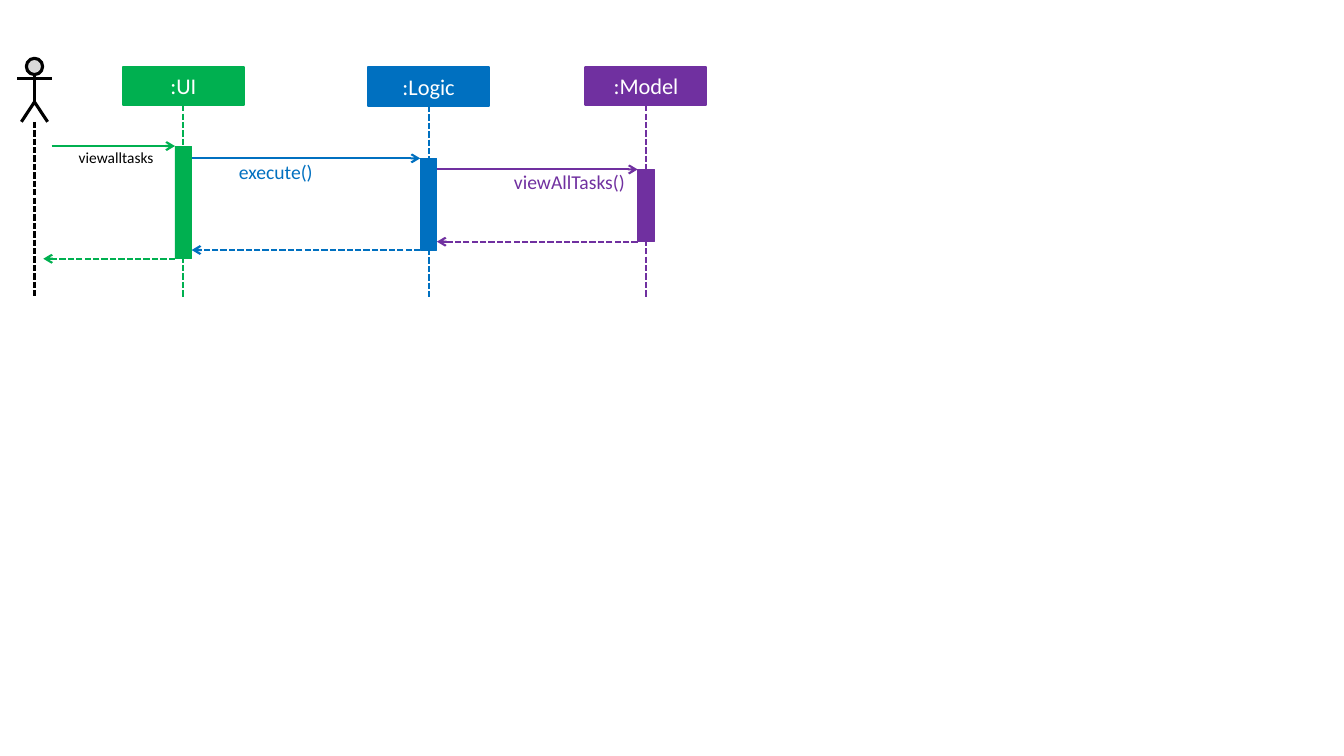
from lxml.etree import SubElement
from pptx import Presentation
from pptx.dml.color import RGBColor
from pptx.enum.dml import MSO_LINE
from pptx.enum.shapes import MSO_CONNECTOR, MSO_SHAPE
from pptx.enum.text import MSO_ANCHOR, PP_ALIGN
from pptx.oxml.ns import qn
from pptx.util import Cm, Pt

GREEN, BLUE, PURPLE = "00B050", "0070C0", "7030A0"
BLACK, WHITE, GREY = "000000", "FFFFFF", "D9D9D9"

HEAD_WIDTH, HEAD_HEIGHT = 3.05, 0.97
BAR_WIDTH = 0.42
LIFELINE_END = 7.49
ACTOR_BOX = (0.43, 1.47, 0.88, 1.6)

# name, colour, centre, head top, activation top, activation bottom
PARTICIPANTS = [
    (":UI", GREEN, 4.62, 1.68, 3.68, 6.52),
    (":Logic", BLUE, 10.8, 1.7, 3.99, 6.3),
    (":Model", PURPLE, 16.28, 1.68, 4.27, 6.09),
]

# text, colour, size, alignment, box of each call label
CALL_LABELS = [
    ("viewalltasks", BLACK, 11, PP_ALIGN.RIGHT, (1.3, 3.73, 2.57, 0.48)),
    ("execute()", BLUE, 14, PP_ALIGN.LEFT, (6.02, 4.04, 3.96, 0.61)),
    ("viewAllTasks()", PURPLE, 14, PP_ALIGN.RIGHT, (11.79, 4.27, 3.96, 0.61)),
]


def colour(value):
    return RGBColor.from_string(value)


def write(shape, text, size=16, ink=WHITE, align=PP_ALIGN.CENTER,
          anchor=MSO_ANCHOR.MIDDLE):
    frame = shape.text_frame
    frame.word_wrap = True
    frame.vertical_anchor = anchor
    frame.margin_left = frame.margin_right = 0
    frame.margin_top = frame.margin_bottom = 0
    para = frame.paragraphs[0]
    para.alignment = align
    span = para.add_run()
    span.text = text
    span.font.name = "Calibri"
    span.font.size = Pt(size)
    span.font.color.rgb = colour(ink)


def add_block(shapes, box, fill, outline, weight, kind=MSO_SHAPE.RECTANGLE):
    block = shapes.add_shape(kind, *(Cm(length) for length in box))
    block.shadow.inherit = False
    block.fill.solid()
    block.fill.fore_color.rgb = colour(fill)
    block.line.color.rgb = colour(outline)
    block.line.width = Pt(weight)
    return block


def add_line(shapes, start, end, ink, weight=1.5, dashed=False, arrow=False):
    line = shapes.add_connector(
        MSO_CONNECTOR.STRAIGHT, *(Cm(length) for length in (*start, *end)))
    line.line.color.rgb = colour(ink)
    line.line.width = Pt(weight)
    if dashed:
        line.line.dash_style = MSO_LINE.SQUARE_DOT
    if arrow:
        SubElement(line.line._get_or_add_ln(), qn("a:tailEnd"), type="arrow")
    SubElement(line._element.spPr, qn("a:effectLst"))
    return line


def add_actor(page, box):
    left, top, width, height = box
    middle, bottom = left + width / 2, top + height
    head, hips, shoulders = 0.41, top + 1.1, top + 0.51
    shapes = page.shapes.add_group_shape().shapes
    add_block(shapes, (middle - head / 2, top, head, head), GREY, BLACK, 2.25,
              MSO_SHAPE.FLOWCHART_CONNECTOR)
    add_line(shapes, (middle, top + head), (middle, hips), BLACK, 2.25)
    # Legs
    builder = shapes.build_freeform(Cm(middle - 0.33), Cm(bottom))
    builder.add_line_segments(
        [(Cm(middle), Cm(hips)), (Cm(middle + 0.33), Cm(bottom))], close=False)
    legs = builder.convert_to_shape()
    legs.shadow.inherit = False
    legs.fill.background()
    legs.line.color.rgb = colour(BLACK)
    legs.line.width = Pt(2.25)
    # Arms
    add_line(shapes, (left, shoulders), (left + width, shoulders), BLACK, 2.25)
    # Lifeline
    add_line(page.shapes, (middle, bottom), (middle, LIFELINE_END), BLACK,
             dashed=True)


def add_participant(page, name, ink, box, bar_top, bar_bottom):
    left, top, width, height = box
    middle = left + width / 2
    head = add_block(page.shapes, box, ink, ink, 1.5)
    write(head, name)
    lifeline = add_line(page.shapes, (middle, top + height),
                        (middle, LIFELINE_END), ink, dashed=True)
    lifeline.begin_connect(head, 2)
    bar_box = (middle - BAR_WIDTH / 2, bar_top, BAR_WIDTH, bar_bottom - bar_top)
    add_block(page.shapes, bar_box, ink, ink, 0.5)


def add_exchange(page, ink, box, call_from, return_to):
    """Call along the top of the box, return along its bottom."""
    left, top, width, height = box
    right, bottom = left + width, top + height
    add_line(page.shapes, (call_from, top), (right, top), ink, arrow=True)
    add_line(page.shapes, (right, bottom), (return_to, bottom), ink,
             dashed=True, arrow=True)


def add_call_label(page, text, ink, size, align, box):
    label = page.shapes.add_textbox(*(Cm(length) for length in box))
    write(label, text, size, ink, align, MSO_ANCHOR.TOP)


def add_sequence(page):
    add_actor(page, ACTOR_BOX)
    for name, ink, centre, top, bar_top, bar_bottom in PARTICIPANTS:
        head_box = (centre - HEAD_WIDTH / 2, top, HEAD_WIDTH, HEAD_HEIGHT)
        add_participant(page, name, ink, head_box, bar_top, bar_bottom)

    # Messages between neighbouring lifelines
    call_from, return_to = 1.3, 1.09
    for _, ink, centre, _, bar_top, bar_bottom in PARTICIPANTS:
        right = centre - BAR_WIDTH / 2
        box = (call_from, bar_top, right - call_from, bar_bottom - bar_top)
        add_exchange(page, ink, box, call_from, return_to)
        call_from = return_to = centre + BAR_WIDTH / 2

    for label in CALL_LABELS:
        add_call_label(page, *label)


def main():
    deck = Presentation()
    deck.slide_width, deck.slide_height = Cm(33.87), Cm(19.05)
    page = deck.slides.add_slide(deck.slide_layouts[6])
    add_sequence(page)
    deck.save("out.pptx")


if __name__ == "__main__":
    main()
